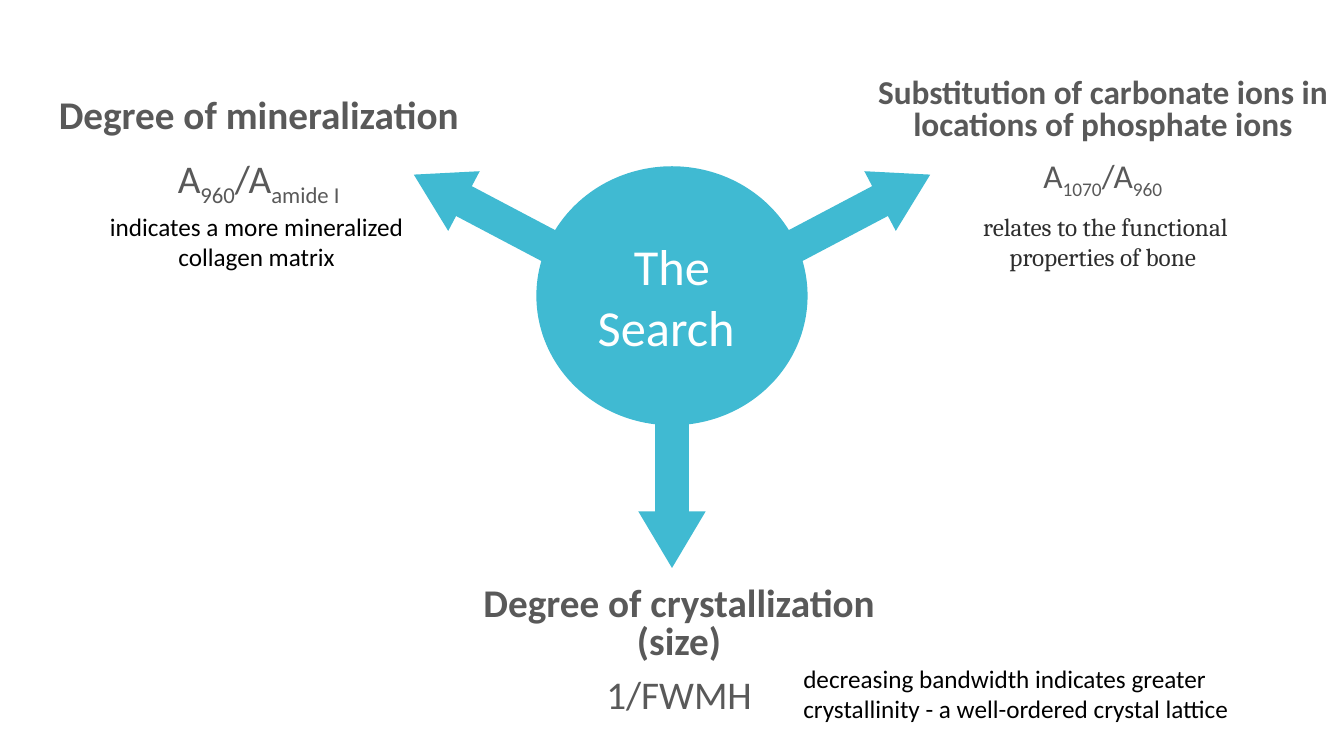
from pptx import Presentation
from pptx.dml.color import RGBColor
from pptx.enum.shapes import MSO_SHAPE
from pptx.enum.text import MSO_ANCHOR, MSO_AUTO_SIZE, PP_ALIGN
from pptx.util import Inches, Pt

SLIDE_W, SLIDE_H = Inches(13.333), Inches(7.5)
BLANK_LAYOUT = 6
ELLIPSE, ARROW = MSO_SHAPE.OVAL, MSO_SHAPE.RIGHT_ARROW
CENTER, LEFT = PP_ALIGN.CENTER, PP_ALIGN.LEFT
MIDDLE, GROW = MSO_ANCHOR.MIDDLE, MSO_AUTO_SIZE.SHAPE_TO_FIT_TEXT

TEAL, WHITE, BLACK = "40BAD2", "FFFFFF", "000000"
GREY, CHARCOAL = "595959", "2E2E2E"

# All positions and sizes are percentages of the slide's width and height
HUB_X, HUB_Y = 50, 39.13
HUB_W, HUB_H = 20.18, 34.27
ARROW_W, ARROW_H = 14.55, 8.93
# Arrow centre relative to the hub, and its direction in degrees
ARROWS = [(12.78, -10, 332.2), (0, 23.07, 90), (-12.78, -10, 207.8)]

# Box, size, line spacing, heading, and formula parts as (text, is subscript)
FINDINGS = [
    ((2.85, 12, 32.8, 20), 28, 0.9, "Degree of mineralization",
     [("A", False), ("960", True), ("/A", False), ("amide I", True)]),
    ((64.35, 9.73, 35.4, 20), 23.8, 0.8,
     "Substitution of carbonate ions in locations of phosphate ions",
     [("A", False), ("1070", True), ("/A", False), ("960", True)]),
    ((34.13, 77.07, 32.8, 20), 28, 0.8, "Degree of crystallization (size)",
     [("1/FWMH", False)]),
]
# Box, text, alignment, font, colour
MEANINGS = [
    ((5.7, 27.33, 26.78, 9.47), "indicates a more mineralized collagen matrix",
     CENTER, "Calibri", BLACK),
    ((59.03, 87.07, 35.1, 9.47),
     "decreasing bandwidth indicates greater crystallinity - a well-ordered crystal lattice",
     LEFT, "Calibri", BLACK),
    ((69, 27.33, 26.1, 9.47), " relates to the functional properties of bone",
     CENTER, "Cambria", CHARCOAL),
]


def color(hex_code):
    return RGBColor.from_string(hex_code)


def place(left, top, width, height):
    return (int(SLIDE_W * left / 100), int(SLIDE_H * top / 100),
            int(SLIDE_W * width / 100), int(SLIDE_H * height / 100))


def style(paragraph, size, hex_code, font="Calibri", bold=False, align=CENTER):
    paragraph.alignment = align
    paragraph.font.name = font
    paragraph.font.size = Pt(size)
    paragraph.font.bold = bold
    paragraph.font.color.rgb = color(hex_code)


def add_solid(slide, kind, center_x, center_y, width, height):
    solid = slide.shapes.add_shape(
        kind, *place(center_x - width / 2, center_y - height / 2, width, height))
    solid.fill.solid()
    solid.fill.fore_color.rgb = color(TEAL)
    solid.line.fill.background()
    solid.shadow.inherit = False
    return solid


def add_arrow(slide, dx, dy, angle):
    arrow = add_solid(slide, ARROW, HUB_X + dx, HUB_Y + dy, ARROW_W, ARROW_H)
    arrow.adjustments[0] = 0.5
    arrow.adjustments[1] = 0.84
    arrow.rotation = angle


def add_hub(slide, label):
    hub = add_solid(slide, ELLIPSE, HUB_X, HUB_Y, HUB_W, HUB_H)
    hub.text_frame.word_wrap = True
    hub.text_frame.vertical_anchor = MIDDLE
    hub.text_frame.text = label
    style(hub.text_frame.paragraphs[0], 36, WHITE)


def add_text_frame(slide, box):
    frame = slide.shapes.add_textbox(*place(*box)).text_frame
    frame.word_wrap = True
    return frame


def add_finding(slide, box, size, spacing, heading, formula):
    frame = add_text_frame(slide, box)
    title, ratio = frame.paragraphs[0], frame.add_paragraph()
    title.text = heading
    for text, is_subscript in formula:
        part = ratio.add_run()
        part.text = text
        if is_subscript:
            part._r.get_or_add_rPr().set("baseline", "-25000")
    for paragraph in (title, ratio):
        style(paragraph, size, GREY, bold=paragraph is title)
        paragraph.line_spacing = spacing
        paragraph.space_before = Pt(12)


def add_meaning(slide, box, text, align, font, hex_code):
    frame = add_text_frame(slide, box)
    frame.auto_size = GROW
    frame.text = text
    style(frame.paragraphs[0], 18, hex_code, font, align=align)


def main():
    deck = Presentation()
    deck.slide_width, deck.slide_height = SLIDE_W, SLIDE_H
    slide = deck.slides.add_slide(deck.slide_layouts[BLANK_LAYOUT])

    # Hub with arrows pointing to the three findings
    for arrow in ARROWS:
        add_arrow(slide, *arrow)
    add_hub(slide, "The Search ")

    # Findings and what each one means
    for finding in FINDINGS:
        add_finding(slide, *finding)
    for meaning in MEANINGS:
        add_meaning(slide, *meaning)

    deck.save("out.pptx")


if __name__ == "__main__":
    main()
